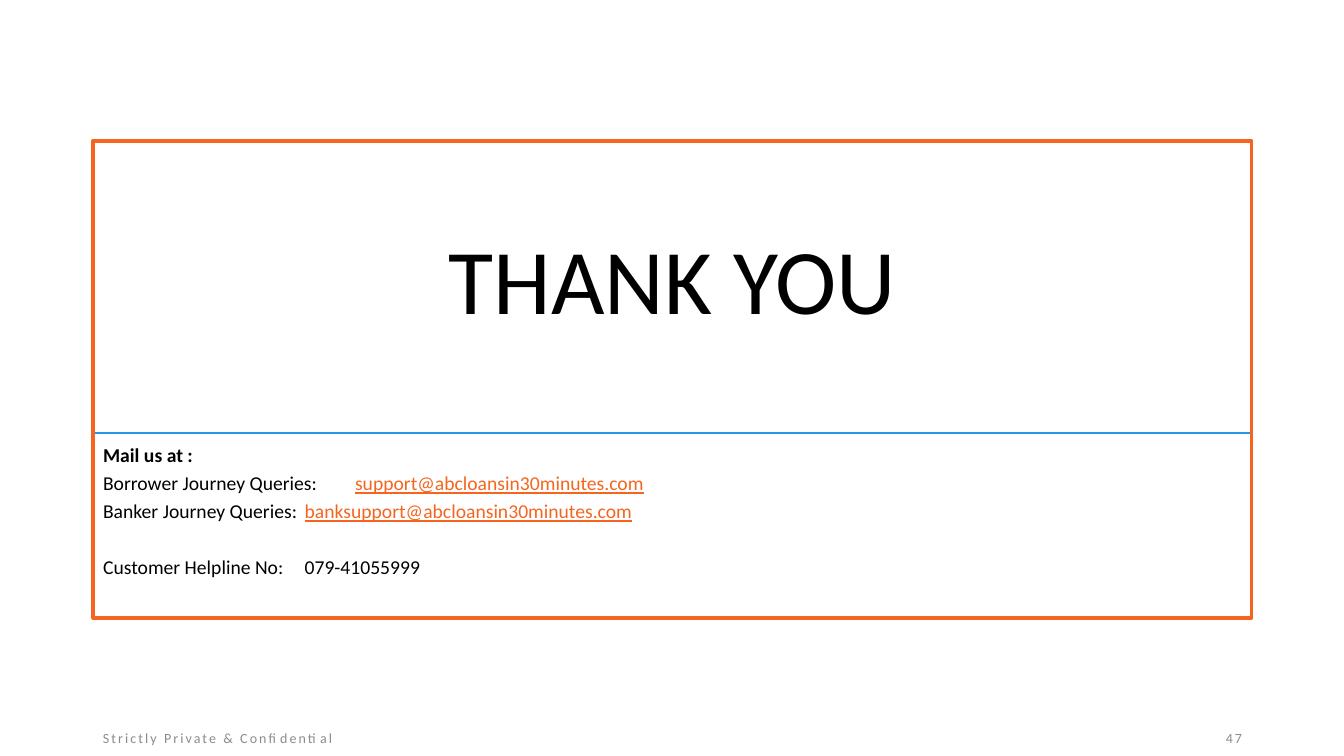
"""Build the closing slide with contact details."""
from lxml import etree
from pptx import Presentation
from pptx.dml.color import RGBColor
from pptx.enum.shapes import MSO_SHAPE
from pptx.enum.text import MSO_ANCHOR, MSO_AUTO_SIZE, PP_ALIGN
from pptx.oxml.ns import qn
from pptx.util import Pt

RECT = MSO_SHAPE.RECTANGLE
TOP, MIDDLE = MSO_ANCHOR.TOP, MSO_ANCHOR.MIDDLE
LEFT, CENTER, RIGHT = PP_ALIGN.LEFT, PP_ALIGN.CENTER, PP_ALIGN.RIGHT
NO_FIT = MSO_AUTO_SIZE.NONE

BLACK = RGBColor(0x00, 0x00, 0x00)
WHITE = RGBColor(0xFF, 0xFF, 0xFF)
ORANGE = RGBColor(0xF6, 0x65, 0x1F)
BLUE = RGBColor(0x23, 0x99, 0xE8)
GREY = RGBColor(0x8C, 0x8C, 0x8C)

TITLE = "THANK YOU"
HEADING = "Mail us at :"
CONTACTS = [
    ("Borrower Journey Queries:", "support@abcloansin30minutes.com", True),
    ("Banker Journey Queries:", "banksupport@abcloansin30minutes.com", True),
    ("Customer Helpline No:", "079-41055999", False),
]
FOOTERS = [
    ("Strictly Private & Confidential", 353, LEFT),
    ("47", 302, RIGHT),
]

SLIDE_W, SLIDE_H = 1344, 756
FRAME_X, FRAME_Y, FRAME_W, FRAME_H = 93, 141, 1159, 477
CONTACT_H = 185
TITLE_INSET = 23
TAB = 302
FOOTER_Y, FOOTER_H = 718, 40

TITLE_FONT = {"size": Pt(66), "name": "Calibri"}
BODY_FONT = {"size": Pt(14), "name": "Calibri"}
LINK_FONT = {**BODY_FONT, "underline": True}
FOOTER_FONT = {"size": Pt(10), "name": "Calibri"}


def px(n):
    return round(n * 914400 / 100.8)


def place(sp, *box):
    sp.left, sp.top, sp.width, sp.height = map(px, box)


def set_frame(sp, anchor):
    tf = sp.text_frame
    tf.word_wrap = True
    tf.auto_size = NO_FIT
    tf.vertical_anchor = anchor
    return tf


def add_run(p, text, font, color):
    r = p.add_run()
    r.text = text
    for name, value in font.items():
        setattr(r.font, name, value)
    r.font.color.rgb = color
    return r


def set_line(sp, color, width):
    sp.line.color.rgb = color
    sp.line.width = Pt(width)


def add_title(slide):
    sp = slide.shapes.title
    place(sp, FRAME_X + TITLE_INSET, FRAME_Y - 3, FRAME_W - 2 * TITLE_INSET,
          FRAME_H - CONTACT_H + 2)
    p = set_frame(sp, MIDDLE).paragraphs[0]
    p.alignment, p.line_spacing = CENTER, 0.9
    add_run(p, TITLE, TITLE_FONT, BLACK)


def format_contact(p, gap):
    p.alignment, p.line_spacing, p.space_before = LEFT, 1.2, Pt(gap)
    pPr = p._p.get_or_add_pPr()
    pPr.set("marL", "0")
    pPr.set("indent", "0")
    etree.SubElement(pPr, qn("a:buNone"))
    tabs = etree.SubElement(pPr, qn("a:tabLst"))
    etree.SubElement(tabs, qn("a:tab"), pos=str(px(TAB)), algn="l")


def add_contacts(slide):
    sp = slide.placeholders[1]
    place(sp, FRAME_X, FRAME_Y + FRAME_H - CONTACT_H, FRAME_W, CONTACT_H)
    sp.fill.solid()
    sp.fill.fore_color.rgb = WHITE
    set_line(sp, BLUE, 1)
    tf = set_frame(sp, TOP)
    p = tf.paragraphs[0]
    format_contact(p, 0)
    add_run(p, HEADING, {**BODY_FONT, "bold": True}, BLACK)
    for label, value, is_mail in CONTACTS:
        p = tf.add_paragraph()
        format_contact(p, 0 if is_mail else 20)
        add_run(p, label + "\t", BODY_FONT, BLACK)
        add_run(p, value, LINK_FONT if is_mail else BODY_FONT,
                ORANGE if is_mail else BLACK)


def add_frame(slide):
    sp = slide.shapes.add_shape(
        RECT, *map(px, (FRAME_X, FRAME_Y, FRAME_W, FRAME_H)))
    sp.shadow.inherit = False
    sp.fill.background()
    set_line(sp, ORANGE, 2.25)


def add_footers(slide):
    for text, width, align in FOOTERS:
        x = FRAME_X if align == LEFT else FRAME_X + FRAME_W - width
        sp = slide.shapes.add_textbox(
            *map(px, (x, FOOTER_Y, width, FOOTER_H)))
        p = set_frame(sp, MIDDLE).paragraphs[0]
        p.alignment = align
        r = add_run(p, text, FOOTER_FONT, GREY)
        r._r.get_or_add_rPr().set("spc", "150")


def main():
    prs = Presentation()
    prs.slide_width, prs.slide_height = px(SLIDE_W), px(SLIDE_H)
    slide = prs.slides.add_slide(prs.slide_layouts[1])
    add_title(slide)
    add_contacts(slide)
    add_frame(slide)
    add_footers(slide)
    prs.save("out.pptx")


if __name__ == "__main__":
    main()
